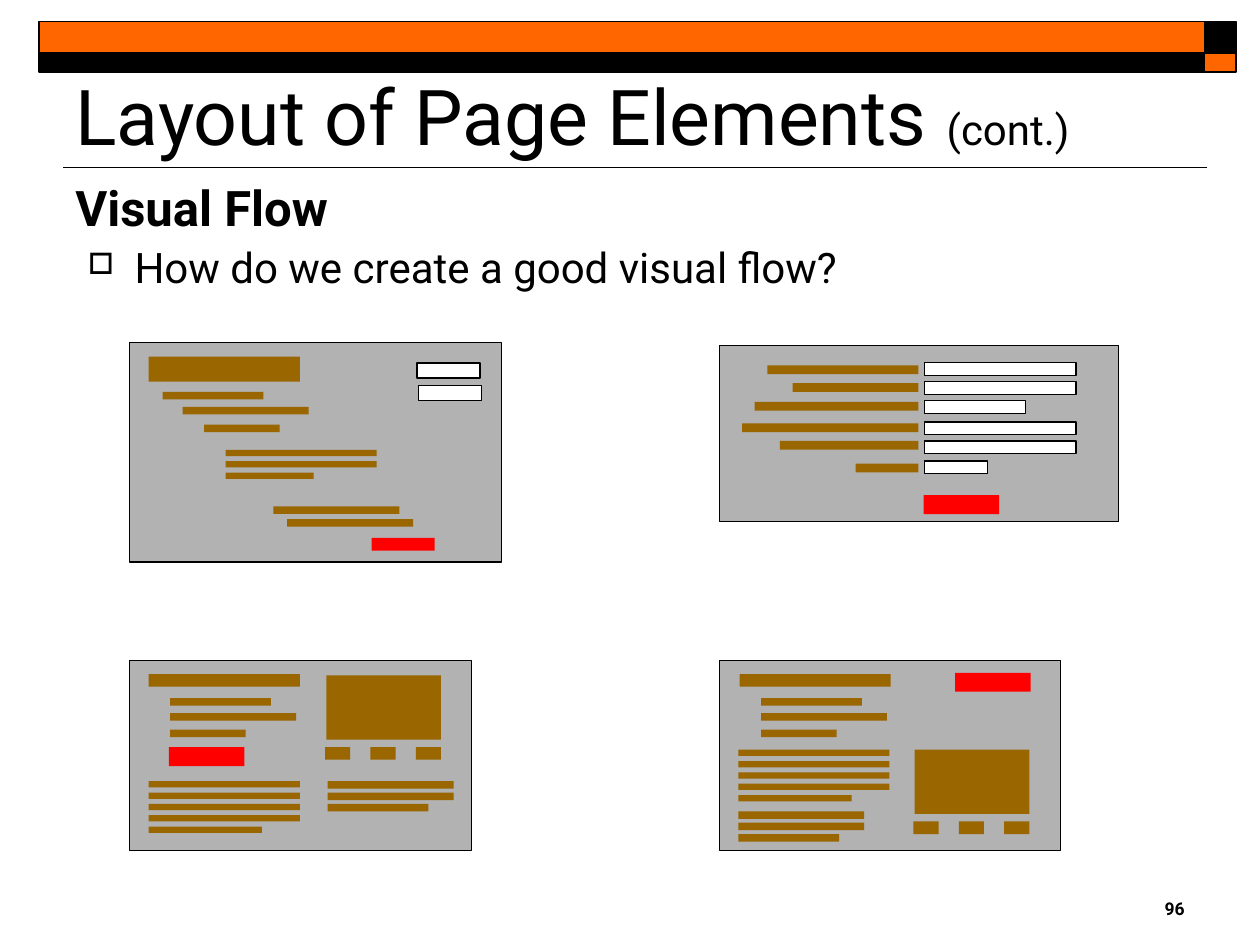
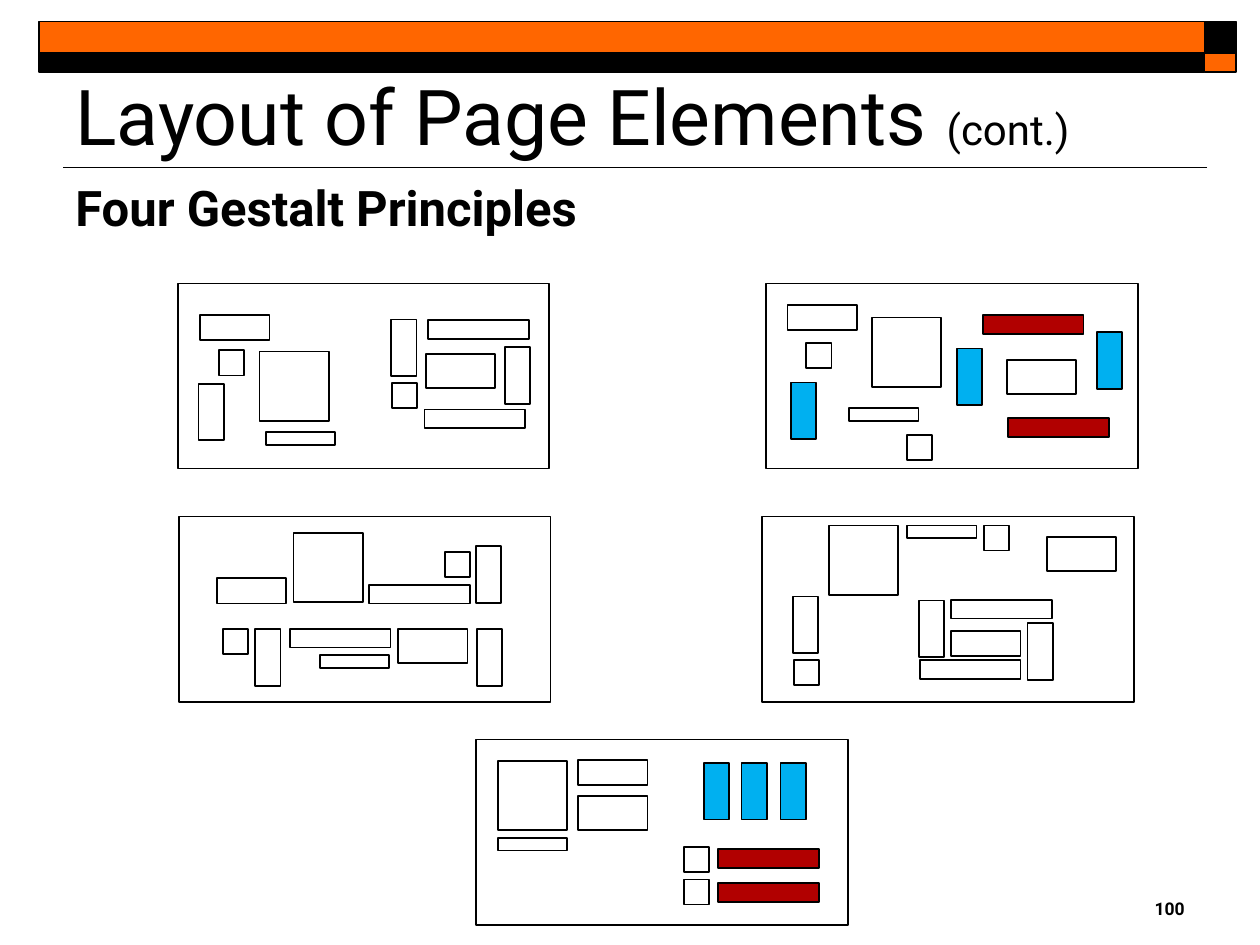
from dataclasses import dataclass, field
from typing import NamedTuple

import pptx
import pptx.dml.color
import pptx.enum.shapes
import pptx.enum.text
import pptx.oxml.ns
import pptx.shapes.group
import pptx.slide
import pptx.text.text
import pptx.util
from lxml import etree

EMU_PER_PX = 9144
FONT = "Roboto"
COLOURS = {
    "black": "000000",
    "white": "FFFFFF",
    "orange": "FF6600",
    "grey": "B2B2B2",
    "brown": "996600",
    "button red": "FF0000",
    "blue": "00B0F0",
    "dark red": "B10000",
}


class Box(NamedTuple):
    left: int
    top: int
    width: int
    height: int

    def moved(self, left: int, top: int) -> "Box":
        return Box(self.left + left, self.top + top, self.width, self.height)


class Block(NamedTuple):
    box: Box
    fill: str
    outline: float = 0
    rotation: int = 0


class Words(NamedTuple):
    text: str
    size: int
    bold: bool = False


class PieceKind(NamedTuple):
    width: int
    height: int
    rotation: int = 0
    accent: str = "white"


class FormRow(NamedTuple):
    label_top: int
    label_width: int
    field_top: int
    field_width: int


@dataclass
class Panel:
    box: Box
    fill: str
    outline: float
    blocks: list[Block] = field(default_factory=list)


@dataclass
class GestaltPanel:
    left: int
    top: int
    spots: dict[str, list[tuple[int, int]]]
    accented: bool = False


BAND = [
    Block(Box(956, 17, 25, 25), "black", 1),
    Block(Box(31, 17, 925, 25), "orange", 1),
    Block(Box(31, 42, 925, 15), "black", 1),
    Block(Box(956, 42, 25, 15), "orange", 1),
]

PIECES = {
    "card": PieceKind(55, 20),
    "tall": PieceKind(45, 20, 90, "blue"),
    "chip": PieceKind(20, 20),
    "bar": PieceKind(80, 15, 0, "dark red"),
    "square": PieceKind(55, 55),
    "plate": PieceKind(55, 27),
    "strip": PieceKind(55, 10),
}

GESTALT_PANELS = [
    GestaltPanel(141, 225, {
        "card": [(18, 25)], "tall": [(4, 92), (157, 41), (247, 63)],
        "chip": [(33, 53), (170, 79)], "bar": [(199, 29), (196, 100)],
        "square": [(65, 54)], "plate": [(197, 56)], "strip": [(70, 118)],
    }),
    GestaltPanel(608, 225, {
        "card": [(17, 17)], "tall": [(7, 91), (139, 64), (250, 51)],
        "chip": [(32, 47), (112, 120)], "bar": [(172, 25), (192, 107)],
        "square": [(84, 27)], "plate": [(191, 61)], "strip": [(66, 99)],
    }, accented=True),
    GestaltPanel(142, 410, {
        "card": [(30, 49)], "tall": [(48, 102), (224, 102), (223, 36)],
        "chip": [(35, 89), (211, 28)], "bar": [(151, 54), (88, 89)],
        "square": [(91, 13)], "plate": [(174, 89)], "strip": [(112, 110)],
    }),
    GestaltPanel(605, 410, {
        "card": [(150, 91)], "tall": [(12, 76), (112, 79), (198, 97)],
        "chip": [(25, 114), (176, 7)], "bar": [(150, 66), (125, 114)],
        "square": [(53, 7)], "plate": [(226, 16)], "strip": [(115, 7)],
    }),
    GestaltPanel(378, 587, {
        "card": [(81, 16)], "tall": [(168, 31), (198, 31), (229, 31)],
        "chip": [(165, 85), (165, 111)], "bar": [(192, 87), (192, 114)],
        "square": [(17, 17)], "plate": [(81, 45)], "strip": [(17, 78)],
    }, accented=True),
]

FORM_ROWS = [
    FormRow(16, 120, 14, 120),
    FormRow(30, 100, 29, 120),
    FormRow(45, 130, 44, 80),
    FormRow(62, 140, 61, 120),
    FormRow(76, 110, 76, 120),
    FormRow(94, 50, 92, 50),
]


def px(length: int) -> pptx.util.Emu:
    return pptx.util.Emu(length * EMU_PER_PX)


def colour(name: str) -> pptx.dml.color.RGBColor:
    return pptx.dml.color.RGBColor.from_string(COLOURS[name])


def draw_block(parent: pptx.slide.Slide | pptx.shapes.group.GroupShape, block: Block) -> None:
    shape = parent.shapes.add_shape(
        pptx.enum.shapes.MSO_SHAPE.RECTANGLE, *map(px, block.box))
    shape.shadow.inherit = False
    shape.rotation = block.rotation
    shape.fill.solid()
    shape.fill.fore_color.rgb = colour(block.fill)
    if block.outline:
        shape.line.color.rgb = colour("black")
        shape.line.width = pptx.util.Pt(block.outline)
    else:
        shape.line.fill.background()


def draw_panel(slide: pptx.slide.Slide, panel: Panel) -> None:
    group = slide.shapes.add_group_shape()
    draw_block(group, Block(panel.box, panel.fill, panel.outline))
    for block in panel.blocks:
        placed = block.box.moved(panel.box.left, panel.box.top)
        draw_block(group, block._replace(box=placed))


def add_words(paragraph: pptx.text.text._Paragraph, words: Words) -> None:
    run = paragraph.add_run()
    run.text = words.text
    run.font.name = FONT
    run.font.size = pptx.util.Pt(words.size)
    run.font.bold = words.bold
    run.font.color.rgb = colour("black")


def add_text_frame(slide: pptx.slide.Slide, box: Box) -> pptx.text.text.TextFrame:
    text_frame = slide.shapes.add_textbox(*map(px, box)).text_frame
    text_frame.word_wrap = True
    text_frame.auto_size = pptx.enum.text.MSO_AUTO_SIZE.NONE
    return text_frame


def add_bullet(paragraph: pptx.text.text._Paragraph) -> None:
    qualified = pptx.oxml.ns.qn
    properties = paragraph._p.get_or_add_pPr()
    properties.set("marL", str(px(47)))
    properties.set("indent", str(px(-37)))
    bullet_colour = etree.SubElement(properties, qualified("a:buClr"))
    etree.SubElement(bullet_colour, qualified("a:srgbClr"), val=COLOURS["black"])
    etree.SubElement(properties, qualified("a:buSzPct"), val="70000")
    etree.SubElement(properties, qualified("a:buChar"), char="□")


def draw_title_rule(slide: pptx.slide.Slide) -> None:
    rule = slide.shapes.add_connector(
        pptx.enum.shapes.MSO_CONNECTOR.STRAIGHT, px(958), px(133), px(50), px(133))
    rule.line.color.rgb = colour("black")
    rule.line.width = pptx.util.Pt(1)
    etree.SubElement(rule._element.spPr, pptx.oxml.ns.qn("a:effectLst"))


def add_slide(presentation: pptx.presentation.Presentation, number: int,
              heading: str, bullets: list[str]) -> pptx.slide.Slide:
    slide = presentation.slides.add_slide(presentation.slide_layouts[6])
    draw_title_rule(slide)
    for block in BAND:
        draw_block(slide, block)

    footer = add_text_frame(slide, Box(742, 708, 208, 33)).paragraphs[0]
    footer.alignment = pptx.enum.text.PP_ALIGN.RIGHT
    add_words(footer, Words(str(number), 10, True))

    title = add_text_frame(slide, Box(50, 58, 900, 75))
    title.vertical_anchor = pptx.enum.text.MSO_ANCHOR.BOTTOM
    add_words(title.paragraphs[0], Words("Layout of Page Elements ", 44))
    add_words(title.paragraphs[0], Words("(cont.)", 24))

    body = add_text_frame(slide, Box(50, 141, 900, 575))
    body.paragraphs[0].line_spacing = 0.9
    add_words(body.paragraphs[0], Words(heading, 28, True))
    for bullet in bullets:
        paragraph = body.add_paragraph()
        add_bullet(paragraph)
        paragraph.line_spacing = 0.9
        paragraph.space_before = pptx.util.Pt(6)
        add_words(paragraph, Words(bullet, 24))
    return slide


def brown(left: int, top: int, width: int, height: int) -> Block:
    return Block(Box(left, top, width, height), "brown")


def button(left: int, top: int, width: int = 60, height: int = 15) -> Block:
    return Block(Box(left, top, width, height), "button red")


def input_field(left: int, top: int, width: int, height: int) -> Block:
    return Block(Box(left, top, width, height), "white", 0.75)


def text_lines(left: int, top: int, widths: list[int], height: int) -> list[Block]:
    return [brown(left, top + 9 * row, width, height) for row, width in enumerate(widths)]


def intro(left: int) -> list[Block]:
    lines = [(30, 80), (42, 100), (55, 60)]
    return [brown(left, 11, 120, 10)] + [
        brown(left + 17, top, width, 6) for top, width in lines]


def gallery(left: int, top: int) -> list[Block]:
    thumbnails = [brown(left - 1 + 36 * column, top + 57, 20, 10) for column in range(3)]
    return [brown(left, top, 91, 51)] + thumbnails


def diagonal_page() -> list[Block]:
    return [
        brown(15, 11, 120, 20),
        brown(26, 39, 80, 6), brown(42, 51, 100, 6), brown(59, 65, 60, 6),
        *text_lines(76, 85, [120, 120, 70], 5),
        brown(114, 130, 100, 6), brown(125, 140, 100, 6),
        button(192, 155, 50, 10),
        input_field(228, 16, 50, 12), input_field(229, 34, 50, 12),
    ]


def article_page(left: int, article_top: int, notes: tuple[int, int],
                 pictures: tuple[int, int], action: tuple[int, int]) -> list[Block]:
    return [
        *intro(left),
        *text_lines(15, article_top, [120] * 4 + [90], 5),
        *text_lines(*notes, [100, 100, 80], 6),
        *gallery(*pictures),
        button(*action),
    ]


def form_page() -> list[Block]:
    labels = [brown(158 - row.label_width, row.label_top, row.label_width, 7)
              for row in FORM_ROWS]
    fields = [input_field(163, row.field_top, row.field_width, 10) for row in FORM_ROWS]
    return labels + fields + [button(162, 119)]


def gestalt_blocks(panel: GestaltPanel) -> list[Block]:
    blocks = []
    for name, spots in panel.spots.items():
        kind = PIECES[name]
        fill = kind.accent if panel.accented else "white"
        blocks += [Block(Box(left, top, kind.width, kind.height), fill, 1, kind.rotation)
                   for left, top in spots]
    return blocks


def main() -> None:
    presentation = pptx.Presentation()
    presentation.slide_width, presentation.slide_height = px(1000), px(750)

    flow = add_slide(presentation, 96, "Visual Flow",
                     ["How do we create a good visual flow?"])
    for box, blocks in [
        (Box(103, 272, 295, 174), diagonal_page()),
        (Box(103, 524, 271, 151), article_page(15, 96, (157, 96), (156, 12), (31, 69))),
        (Box(571, 524, 271, 151), article_page(16, 71, (15, 120), (155, 71), (187, 10))),
        (Box(571, 274, 317, 140), form_page()),
    ]:
        draw_panel(flow, Panel(box, "grey", 0.75, blocks))

    gestalt = add_slide(presentation, 100, "Four Gestalt Principles", [])
    for panel in GESTALT_PANELS:
        box = Box(panel.left, panel.top, 295, 147)
        draw_panel(gestalt, Panel(box, "white", 1, gestalt_blocks(panel)))

    presentation.save("out.pptx")


if __name__ == "__main__":
    main()
